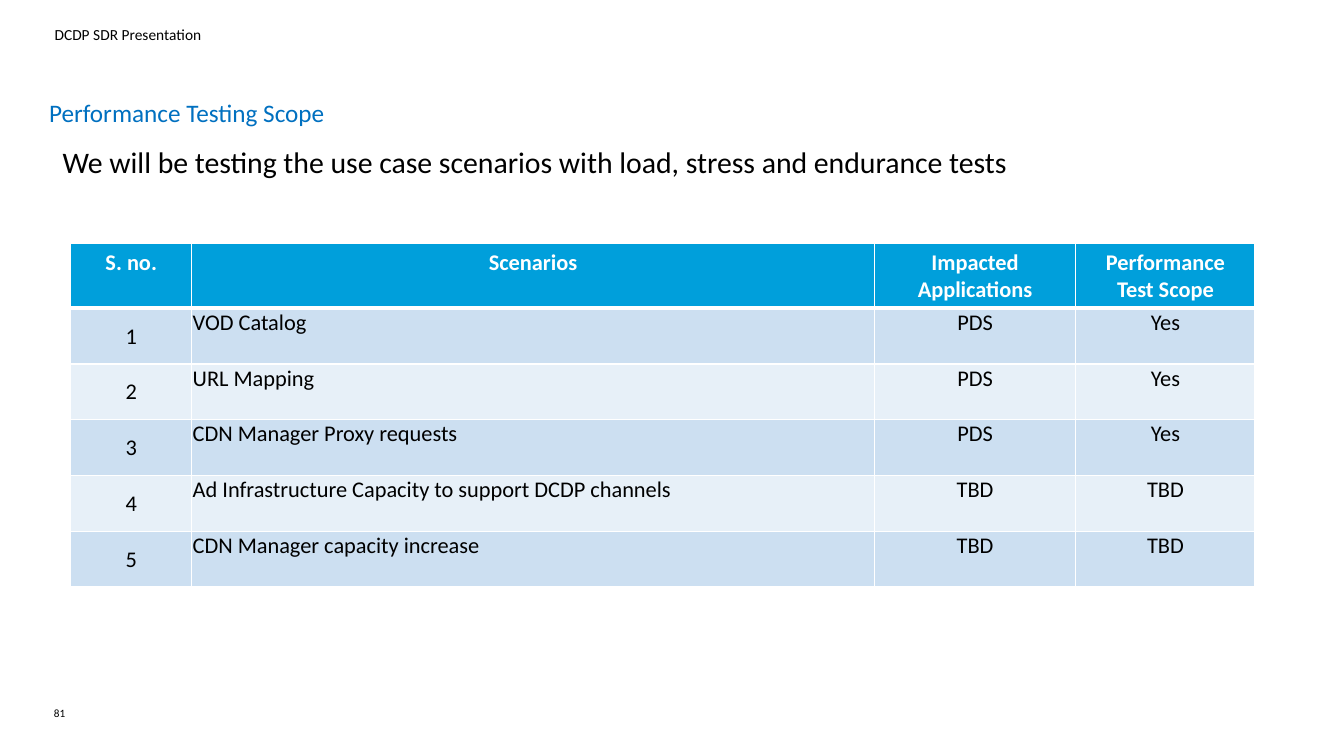
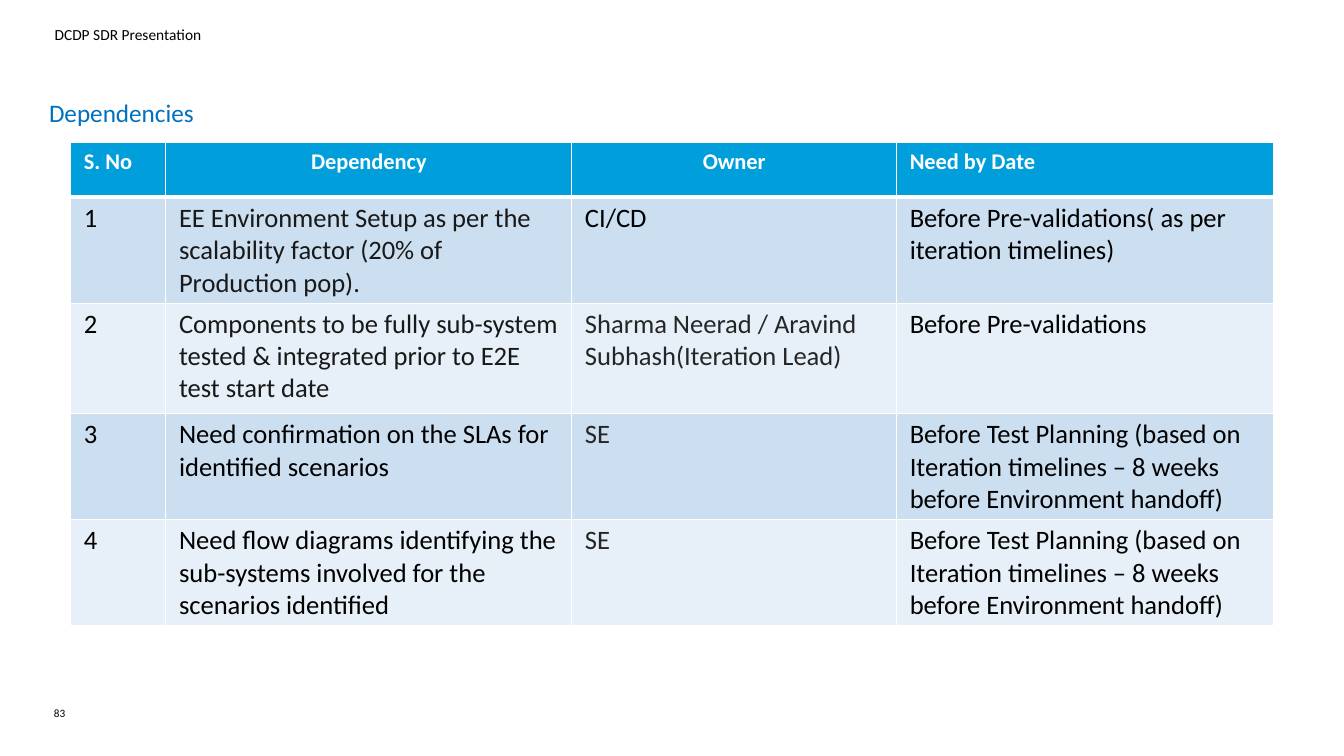
from lxml import etree
from pptx import Presentation
from pptx.dml.color import RGBColor
from pptx.enum.text import MSO_ANCHOR, PP_ALIGN
from pptx.oxml.ns import qn
from pptx.util import Pt

LEFT, CENTER = PP_ALIGN.LEFT, PP_ALIGN.CENTER
TOP, MIDDLE = MSO_ANCHOR.TOP, MSO_ANCHOR.MIDDLE

BLACK = RGBColor(0x00, 0x00, 0x00)
CHARCOAL = RGBColor(0x19, 0x19, 0x19)
GRAPHITE = RGBColor(0x26, 0x26, 0x26)
WHITE = RGBColor(0xFF, 0xFF, 0xFF)
TITLE_BLUE = RGBColor(0x00, 0x70, 0xC0)
HEADER_BLUE = RGBColor(0x00, 0x9F, 0xDB)
BANDS = (RGBColor(0xCC, 0xDF, 0xF1), RGBColor(0xE7, 0xF0, 0xF8))

FONT = "Calibri"
RUNNING_HEAD = "DCDP SDR Presentation"
HEADER_SIZE = 16
WIDE_MARGINS = (9.4, 3.6, 9.4, 3.6)


class SlideBuilder:
    """Holds the shared style and the slide being filled."""

    def __init__(self):
        self.deck = Presentation()
        self.deck.slide_width, self.deck.slide_height = Pt(960), Pt(540)
        self.slide = None

    def new_slide(self, title, number):
        self.slide = self.deck.slides.add_slide(self.deck.slide_layouts[6])
        self.text(RUNNING_HEAD, (39, 18, 883, 14.5), 11)
        self.text(number, (38.5, 504, 23, 18), 8, line_spacing=Pt(10))
        self.text(title, (35, 67.5, 887, 28), 18, TITLE_BLUE, line_spacing=1.1)

    def text(self, words, place, size, color=BLACK, line_spacing=1.0):
        box = self.slide.shapes.add_textbox(*map(Pt, place))
        frame = box.text_frame
        frame.word_wrap = True
        self.set_margins(frame, (0, 0, 0, 0))
        frame.text = words
        para = frame.paragraphs[0]
        para.line_spacing = line_spacing
        self.style(para, size, color)

    def table(self, corner, widths, heights, rows, size, aligns, header_aligns,
              header_margins, margins, number_anchor=TOP, tones=None):
        """Draw a banded table; tones maps (row, column) to a text colour."""
        tones = tones or {}
        frame = self.slide.shapes.add_table(
            len(rows), len(widths), *map(Pt, corner), Pt(sum(widths)), Pt(sum(heights)))
        grid = frame.table
        grid.horz_banding = False
        for column, width in zip(grid.columns, widths):
            column.width = Pt(width)
        for row, height in zip(grid.rows, heights):
            row.height = Pt(height)
        for r, words_in_row in enumerate(rows):
            is_header = r == 0
            for c, words in enumerate(words_in_row):
                cell = grid.cell(r, c)
                self.border(cell, top=3 if r == 1 else 1, bottom=3 if is_header else 1)
                cell.fill.solid()
                cell.fill.fore_color.rgb = HEADER_BLUE if is_header else BANDS[(r - 1) % 2]
                self.set_margins(cell, header_margins if is_header else margins)
                cell.vertical_anchor = number_anchor if c == 0 and not is_header else TOP
                cell.text = words
                para = cell.text_frame.paragraphs[0]
                para.alignment = (header_aligns if is_header else aligns)[c]
                if is_header:
                    self.style(para, HEADER_SIZE, WHITE, bold=True)
                else:
                    self.style(para, size, tones.get((r, c), BLACK))

    @staticmethod
    def set_margins(target, margins):
        """Set left, top, right and bottom margins of a text frame or cell."""
        for side, margin in zip(("left", "top", "right", "bottom"), margins):
            setattr(target, f"margin_{side}", Pt(margin))

    @staticmethod
    def style(para, size, color, bold=False):
        for span in para.runs:
            font = span.font
            font.name, font.size, font.bold = FONT, Pt(size), bold
            font.color.rgb = color

    @staticmethod
    def border(cell, top, bottom):
        properties = cell._tc.get_or_add_tcPr()
        for tag, width in (("lnL", 1), ("lnR", 1), ("lnT", top), ("lnB", bottom)):
            line = etree.SubElement(properties, qn(f"a:{tag}"), w=str(Pt(width)))
            fill = etree.SubElement(line, qn("a:solidFill"))
            etree.SubElement(fill, qn("a:srgbClr"), val=str(WHITE))


def add_scope_slide(builder):
    builder.new_slide("Performance Testing Scope", "81")
    builder.text("We will be testing the use case scenarios with load, stress and endurance tests",
                 (44.7, 102.5, 877, 30), 21.3)
    rows = [
        ("S. no.", "Scenarios", "Impacted Applications", "Performance Test Scope"),
        ("1", "VOD Catalog", "PDS", "Yes"),
        ("2", "URL Mapping", "PDS", "Yes"),
        ("3", "CDN Manager Proxy requests", "PDS", "Yes"),
        ("4", "Ad Infrastructure Capacity to support DCDP channels", "TBD", "TBD"),
        ("5", "CDN Manager capacity increase", "TBD", "TBD"),
    ]
    builder.table((50.5, 174.2), (86.5, 487.5, 144, 128), [46] + [39.8] * 5, rows, 16,
                  aligns=(CENTER, LEFT, CENTER, CENTER), header_aligns=(CENTER,) * 4,
                  header_margins=(7.2, 3.6, 7.2, 3.6), margins=(0.7, 0.7, 0.7, 0),
                  number_anchor=MIDDLE)


def add_dependencies_slide(builder):
    builder.new_slide("Dependencies", "83")
    before_planning = ("Before Test Planning (based on Iteration timelines – "
                       "8 weeks before Environment handoff)")
    rows = [
        ("S. No", "Dependency", "Owner", "Need by Date"),
        ("1", "EE Environment Setup as per the scalability factor (20% of Production pop).",
         "CI/CD", "Before Pre-validations( as per iteration timelines)"),
        ("2", "Components to be fully sub-system tested & integrated prior to E2E test start date",
         "Sharma Neerad / Aravind Subhash(Iteration Lead)", "Before Pre-validations"),
        ("3", "Need confirmation on the SLAs for identified scenarios", "SE", before_planning),
        ("4", "Need flow diagrams identifying the sub-systems involved for the scenarios identified",
         "SE", before_planning),
    ]
    tones = {(1, 1): CHARCOAL, (2, 1): CHARCOAL,
             (2, 2): GRAPHITE, (3, 2): GRAPHITE, (4, 2): GRAPHITE}
    builder.table((50.5, 102), (68, 290, 232, 269), (39, 75.5, 79, 75.5, 75.5), rows, 19,
                  aligns=(LEFT,) * 4, header_aligns=(LEFT, CENTER, CENTER, LEFT),
                  header_margins=WIDE_MARGINS, margins=WIDE_MARGINS, tones=tones)


def main():
    builder = SlideBuilder()
    add_scope_slide(builder)
    add_dependencies_slide(builder)
    builder.deck.save("out.pptx")


if __name__ == "__main__":
    main()
